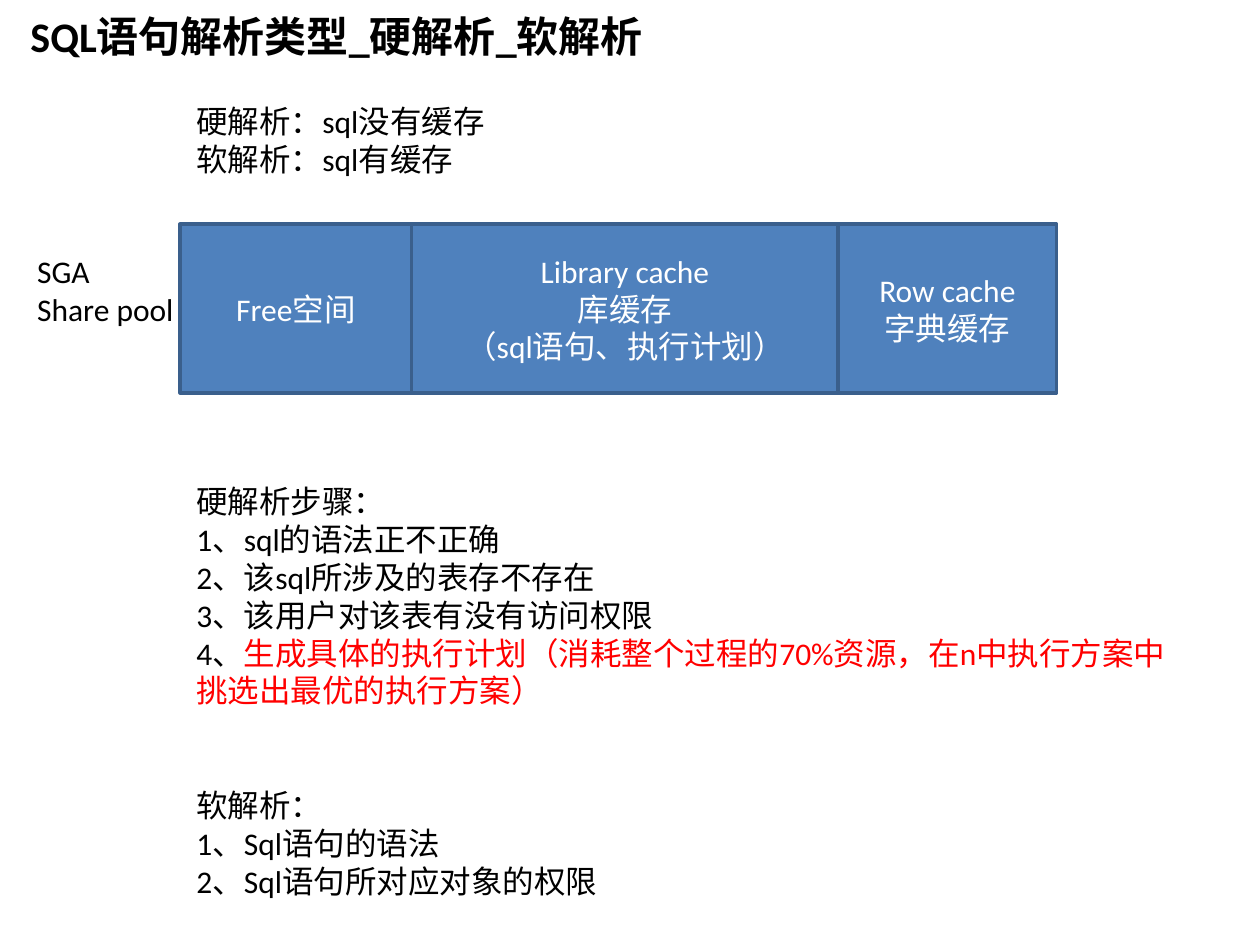
from pptx import Presentation
from pptx.dml.color import RGBColor
from pptx.enum.shapes import MSO_SHAPE
from pptx.enum.text import MSO_ANCHOR, MSO_AUTO_SIZE, PP_ALIGN
from pptx.util import Cm, Pt

COLORS = {"text": "000000", "accent": "FF0000", "fill": "4F81BD",
          "line": "3A5F8C", "label": "FFFFFF"}


def rgb(name):
    """Return the named palette colour."""
    return RGBColor.from_string(COLORS[name])


def write_lines(tf, lines, size=18, color="text", align=PP_ALIGN.LEFT, bold=False):
    """Write one paragraph per line; a line is a list of (text, colour) or a string."""
    tf.word_wrap = True
    for i, line in enumerate(lines):
        p = tf.paragraphs[0] if i == 0 else tf.add_paragraph()
        p.alignment = align
        for text, run_color in [(line, color)] if isinstance(line, str) else line:
            r = p.add_run()
            r.text = text
            r.font.name = "Calibri"
            r.font.size = Pt(size)
            r.font.bold = bold
            r.font.color.rgb = rgb(run_color)


def add_title(slide, left, top, width, height):
    """Place and format the slide title."""
    sp = slide.shapes.title
    sp.left, sp.top, sp.width, sp.height = map(Cm, (left, top, width, height))
    tf = sp.text_frame
    tf.auto_size = MSO_AUTO_SIZE.NONE
    tf.vertical_anchor = MSO_ANCHOR.TOP
    write_lines(tf, ["SQL语句解析类型_硬解析_软解析"], size=24, bold=True)


def add_text(slide, left, top, width, height, lines):
    """Add a wrapped text box and return its text frame."""
    tf = slide.shapes.add_textbox(*map(Cm, (left, top, width, height))).text_frame
    write_lines(tf, lines)
    return tf


def add_pool(slide, left, top, height, areas):
    """Add the shared pool as adjoining areas from left to right, with its label."""
    for width, lines in areas:
        sp = slide.shapes.add_shape(MSO_SHAPE.RECTANGLE,
                                    *map(Cm, (left, top, width, height)))
        sp.shadow.inherit = False
        sp.fill.solid()
        sp.fill.fore_color.rgb = rgb("fill")
        sp.line.color.rgb = rgb("line")
        sp.line.width = Pt(2)
        sp.text_frame.vertical_anchor = MSO_ANCHOR.MIDDLE
        write_lines(sp.text_frame, lines, color="label", align=PP_ALIGN.CENTER)
        left += width


def add_steps(slide, left, top, width, height):
    """Add the steps of hard parsing, then those of soft parsing."""
    hard = [
        "硬解析步骤：",
        "1、sql的语法正不正确",
        "2、该sql所涉及的表存不存在",
        "3、该用户对该表有没有访问权限",
        [("4、", "text"),
         ("生成具体的执行计划（消耗整个过程的70%资源，在n中执行方案中", "accent")],
        [("挑选出最优的执行方案）", "accent")],
    ]
    soft = ["软解析：", "1、Sql语句的语法", "2、Sql语句所对应对象的权限"]
    tf = add_text(slide, left, top, width, height, hard + soft)
    tf.paragraphs[len(hard)].space_before = Pt(44)


def main():
    """Build the slide and save it."""
    prs = Presentation()
    prs.slide_width, prs.slide_height = Cm(25.4), Cm(19.05)
    slide = prs.slides.add_slide(prs.slide_layouts[5])
    add_title(slide, 0.36, 0.08, 13.03, 1.27)
    add_text(slide, 3.71, 1.93, 13.59, 1.8, ["硬解析：sql没有缓存", "软解析：sql有缓存"])
    add_pool(slide, 3.63, 4.52, 3.4, [
        (4.67, ["Free空间"]),
        (8.6, ["Library cache", "库缓存", "（sql语句、执行计划）"]),
        (4.4, ["Row cache", "字典缓存"]),
    ])
    add_text(slide, 0.5, 4.95, 3.4, 1.8, ["SGA", "Share pool"])
    add_steps(slide, 3.71, 9.6, 20.24, 8.71)
    prs.save("out.pptx")


if __name__ == "__main__":
    main()
